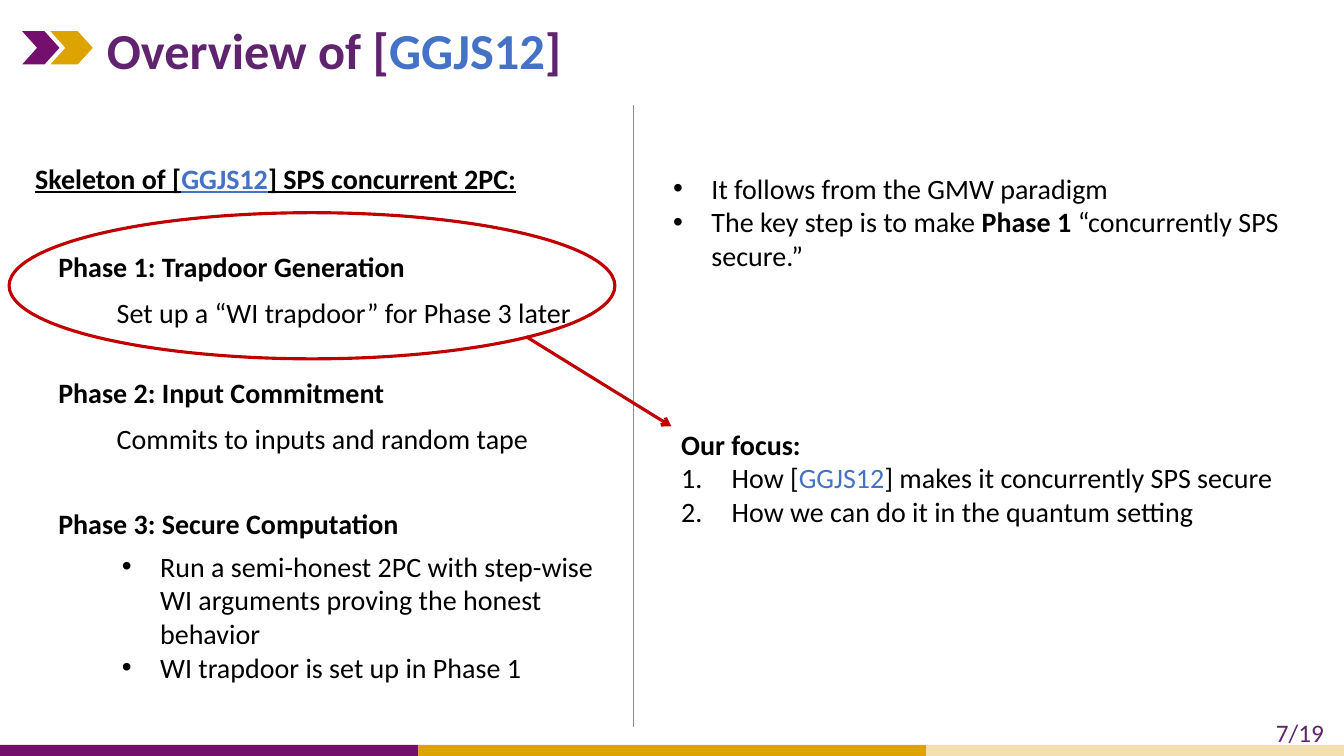
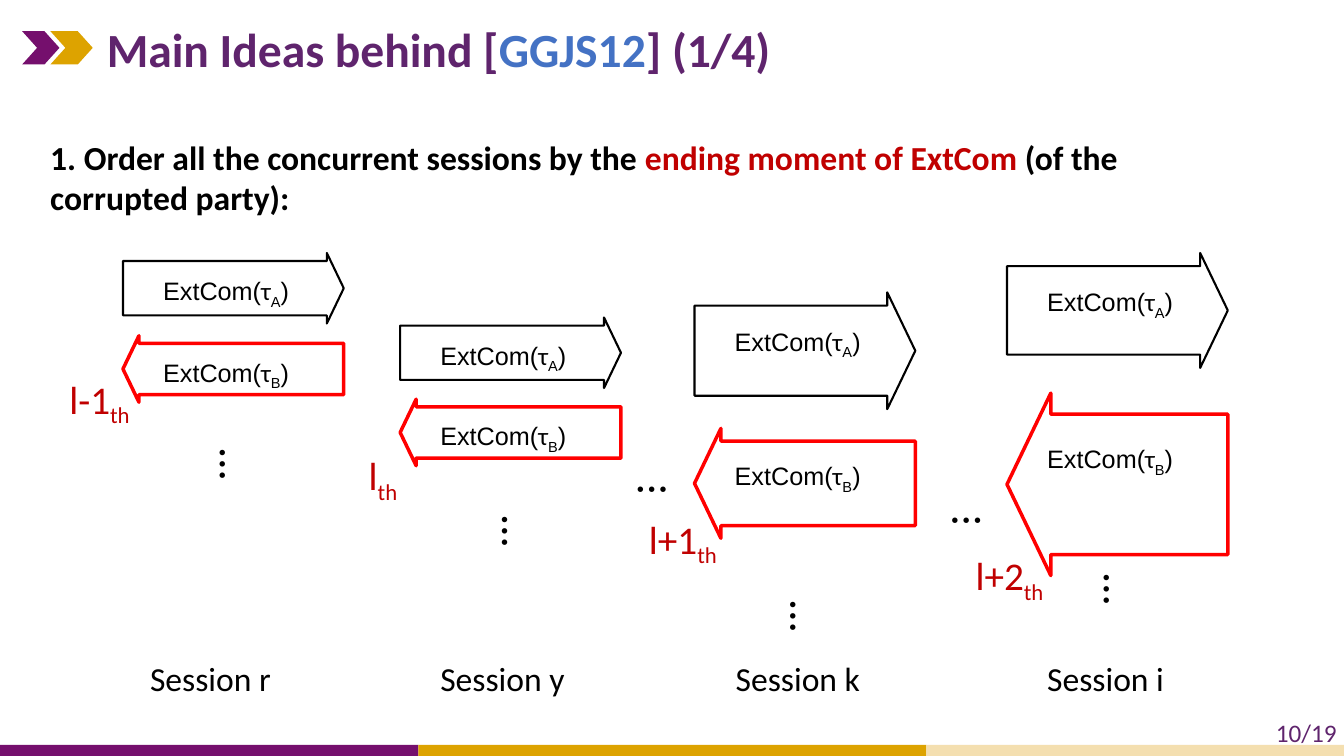
from collections import namedtuple
from lxml.etree import SubElement as Sub
from pptx import Presentation
from pptx.dml.color import RGBColor
from pptx.enum.shapes import MSO_CONNECTOR as Link, MSO_SHAPE as Kind
from pptx.enum.text import MSO_ANCHOR as Anchor, MSO_AUTO_SIZE as Fit, PP_ALIGN as Align
from pptx.oxml.ns import qn
from pptx.util import Inches, Pt

WIDE, HIGH = 133.33, 75
PLUM, GOLD, SAND = "750F6D", "DDA300", "F4DFB0"
HEAD, BLUE, BLACK = "5F246D", "4472C4", "000000"
DARK, RED, GREY = "C00000", "FF0000", "898989"
CITE = ("GGJS12", {"color": BLUE})
DOT, NUM = "•", "1."
HANG = {DOT: 3.8, NUM: 5}


class Box(namedtuple("Box", "x y w h")):
    """A region in grid cells of a tenth of an inch."""

    def sub(self, x, y, w, h):
        """Return a box placed from this box's corner."""
        return Box(self.x + x, self.y + y, w, h)

    def place(self):
        """Return the four lengths for a shape."""
        return [cell(v) for v in self]


Row = namedtuple("Row", "x y top gap low rank rank_x rank_y dots_x dots_y name name_x")


def cell(count):
    """Turn grid cells into a length."""
    return Inches(count / 10)


def paint(code):
    """Turn a hex string into a colour."""
    return RGBColor.from_string(code)


def add_run(para, words, size=20, font="Calibri", color=BLACK, bold=False, under=False, sub=False):
    """Add one styled run."""
    run = para.add_run()
    run.text = words
    face = run.font
    face.size, face.name, face.bold = Pt(size), font, bold
    face.underline = under
    face.color.rgb = paint(color)
    if sub:
        run._r.get_or_add_rPr().set("baseline", "-25000")


def fill_runs(para, runs, style):
    """Add runs, each a string or a pair of string and style."""
    for item in runs:
        words, own = (item, {}) if isinstance(item, str) else item
        add_run(para, words, **{**style, **own})


def mark(para, sign):
    """Give a paragraph a bullet or a number."""
    props = para._p.get_or_add_pPr()
    hang = cell(HANG[sign])
    props.set("marL", str(hang))
    props.set("indent", str(-hang))
    if sign == NUM:
        Sub(props, qn("a:buFont"), typeface="+mj-lt")
        Sub(props, qn("a:buAutoNum"), type="arabicPeriod")
    else:
        Sub(props, qn("a:buFont"), typeface="Arial")
        Sub(props, qn("a:buChar"), char=sign)


def add_text(shapes, box, *paras, turn=0, **style):
    """Add a text box; each paragraph is a sign and its runs."""
    shape = shapes.add_textbox(*box.place())
    shape.rotation = turn
    frame = shape.text_frame
    frame.word_wrap = True
    frame.auto_size = Fit.SHAPE_TO_FIT_TEXT
    for i, (sign, *runs) in enumerate(paras):
        para = frame.add_paragraph() if i else frame.paragraphs[0]
        if sign:
            mark(para, sign)
        fill_runs(para, runs, style)
    return shape


def add_form(shapes, kind, box, fill=None, line=None, width=1, adjust=(), turn=0):
    """Add a preset shape."""
    shape = shapes.add_shape(kind, *box.place())
    shape.shadow.inherit = False
    shape.rotation = turn
    for i, value in enumerate(adjust):
        shape.adjustments[i] = value
    if fill:
        shape.fill.solid()
        shape.fill.fore_color.rgb = paint(fill)
    else:
        shape.fill.background()
    if line:
        shape.line.color.rgb = paint(line)
        shape.line.width = Pt(width)
    else:
        shape.line.fill.background()


def add_line(shapes, start, end, color, width, arrow=False):
    """Add a straight line, with an arrowhead if asked."""
    line = shapes.add_connector(Link.STRAIGHT, *[cell(v) for v in start + end])
    line.line.color.rgb = paint(color)
    line.line.width = Pt(width)
    props = line.element.spPr
    if arrow:
        Sub(props.find(qn("a:ln")), qn("a:tailEnd"), type="arrow")
    Sub(props, qn("a:effectLst"))


def add_bands(shapes, box, page):
    """Draw the footer bands and the page number."""
    left = 0
    for width, color in ((41.5, PLUM), (50.4, GOLD), (box.w - 91.9, SAND)):
        add_form(shapes, Kind.RECTANGLE, box.sub(left, 0, width, box.h), color)
        left += width
    note = add_text(shapes, box.sub(125.6, -3.2, 7.7, 4), (None, f"{page}/19"), size=18, color=HEAD)
    note.text_frame.margin_right = 0


def add_head(slide, box, runs, size):
    """Draw the chevrons and fill the title."""
    for x, width, color in ((0, 3.7, PLUM), (2.8, 4.2, GOLD)):
        add_form(slide.shapes, Kind.CHEVRON, box.sub(x, 1.9, width, 3.3), color, adjust=[0.45])
    title = slide.shapes.title
    title.left, title.top, title.width, title.height = box.sub(7.4, 0, 112.1, box.h).place()
    frame = title.text_frame
    frame.vertical_anchor = Anchor.MIDDLE
    frame.auto_size = Fit.NONE
    para = frame.paragraphs[0]
    para.alignment = Align.LEFT
    fill_runs(para, runs, {"size": size, "color": HEAD, "bold": True})


def new_slide(deck, runs, size, page):
    """Start a slide with the shared parts."""
    slide = deck.slides.add_slide(deck.slide_layouts[5])
    add_bands(slide.shapes, Box(0, HIGH - 1.1, WIDE, 1.1), page)
    add_head(slide, Box(2.2, 1.2, WIDE - 2.2, 7.3), runs, size)
    return slide


def add_plan(shapes, box):
    """Draw the three phases."""
    add_text(shapes, box.sub(1.6, 0, 59.6, 4.4),
             (None, "Skeleton of [", CITE, "] SPS concurrent 2PC:"), bold=True, under=True)
    phases = (
        (8.8, "Phase 1: Trapdoor Generation", "Set up a “WI trapdoor” for Phase 3 later"),
        (21.3, "Phase 2: Input Commitment", "Commits to inputs and random tape"),
        (34.3, "Phase 3: Secure Computation", None),
    )
    for y, name, note in phases:
        add_text(shapes, box.sub(3.9, y, 51, 4.4), (None, name), bold=True)
        if note:
            add_text(shapes, box.sub(9.7, y + 4.5, 51, 4.4), (None, note))
    add_text(shapes, box.sub(10.2, 38.5, 50.9, 14.5),
             (DOT, "Run a semi-honest 2PC with step-wise WI arguments proving the honest behavior"),
             (DOT, "WI trapdoor is set up in Phase 1"))
    add_form(shapes, Kind.OVAL, box.sub(0, 5.6, 60.1, 14.5), line=DARK, width=2.25)


def add_focus(shapes, box):
    """Draw the remarks and the focus."""
    add_text(shapes, box.sub(0, 0, box.w, 11.1),
             (DOT, "It follows from the GMW paradigm"),
             (DOT, "The key step is to make ", ("Phase 1 ", {"bold": True}),
              "“concurrently SPS secure.”"))
    add_text(shapes, box.sub(0.8, 25.4, 61.8, 11.1),
             (None, ("Our focus:", {"bold": True})),
             (NUM, "How [", CITE, "] makes it concurrently SPS secure"),
             (NUM, "How we can do it in the quantum setting"))


def add_dots(shapes, box, turn):
    """Add a turned ellipsis."""
    add_text(shapes, box, (None, "…"), turn=turn, size=24, font="Times New Roman", bold=True)


def add_bout(shapes, box, row):
    """Draw one session with its two arrows and labels."""
    group = shapes.add_group_shape().shapes
    arrows = ((0, row.top, 0, BLACK, 1.5, "A"), (row.gap, row.low, 180, RED, 2.5, "B"))
    for y, high, turn, color, width, side in arrows:
        add_form(group, Kind.RIGHT_ARROW, box.sub(0, y, box.w, high), line=color,
                 width=width, adjust=[0.77, 0.24], turn=turn)
        add_text(group, box.sub(3, y + high / 4, 17.5, row.top),
                 (None, "ExtCom(", ("τ", {"font": "Calibri"}), (side, {"sub": True}), ")"),
                 size=18, font="Arial")
    end = row.gap + row.low
    add_text(shapes, box.sub(row.rank_x, end + row.rank_y, 10, 5.7),
             (None, row.rank, ("th", {"sub": True})), size=28, color=DARK)
    add_dots(shapes, box.sub(row.dots_x, end + row.dots_y, 6.3, 5), 90)
    add_text(shapes, box.sub(row.name_x, box.h - 5, 16, 5), (None, f"Session {row.name}"), size=24)


def show_plan(deck):
    """Build the overview slide."""
    shapes = new_slide(deck, ["Overview of [", CITE, "]"], 36, 7).shapes
    add_plan(shapes, Box(0.9, 15.5, 60.1, 53))
    add_line(shapes, (62.8, 10.4), (62.8, 72.1), GREY, 0.5)
    add_focus(shapes, Box(65.8, 16.5, 65.9, 36.5))
    add_line(shapes, (52.2, 33.4), (66.6, 42.3), DARK, 2.25, arrow=True)


def show_order(deck):
    """Build the slide on the order of sessions."""
    shapes = new_slide(deck, ["Main Ideas behind [", CITE, "] (1/4)"], 34, 10).shapes
    add_text(shapes, Box(4, 13.1, 111, 9.1),
             (None, "1. Order all the concurrent sessions by the ",
              ("ending moment of ExtCom ", {"color": DARK}), "(of the corrupted party):"),
             size=24, bold=True)
    rows = (
        Row(12.2, 25.1, 7, 8.2, 6.6, "l-1", -6.3, -3.2, 7.8, 4.2, "r", 1.7),
        Row(39.7, 31.5, 7, 8.1, 6.6, "l", -4.1, -1.9, 8.3, 4.5, "y", 3),
        Row(68.9, 29, 11.6, 13.5, 10.9, "l+1", -5.5, -2.8, 7.7, 5.7, "k", 3.1),
        Row(99.9, 25.1, 11.4, 13.9, 18.1, "l+2", -4.1, -2.9, 7.8, -0.6, "i", 3),
    )
    for row in rows:
        add_bout(shapes, Box(row.x, row.y, 21.9, 69.8 - row.y), row)
    for x, y in ((61, 47.2), (92.2, 50.3)):
        add_dots(shapes, Box(x, y, 6.3, 5), 180)


def main():
    """Build and save the deck."""
    deck = Presentation()
    deck.slide_width, deck.slide_height = cell(WIDE), cell(HIGH)
    show_plan(deck)
    show_order(deck)
    deck.save("out.pptx")


if __name__ == "__main__":
    main()
